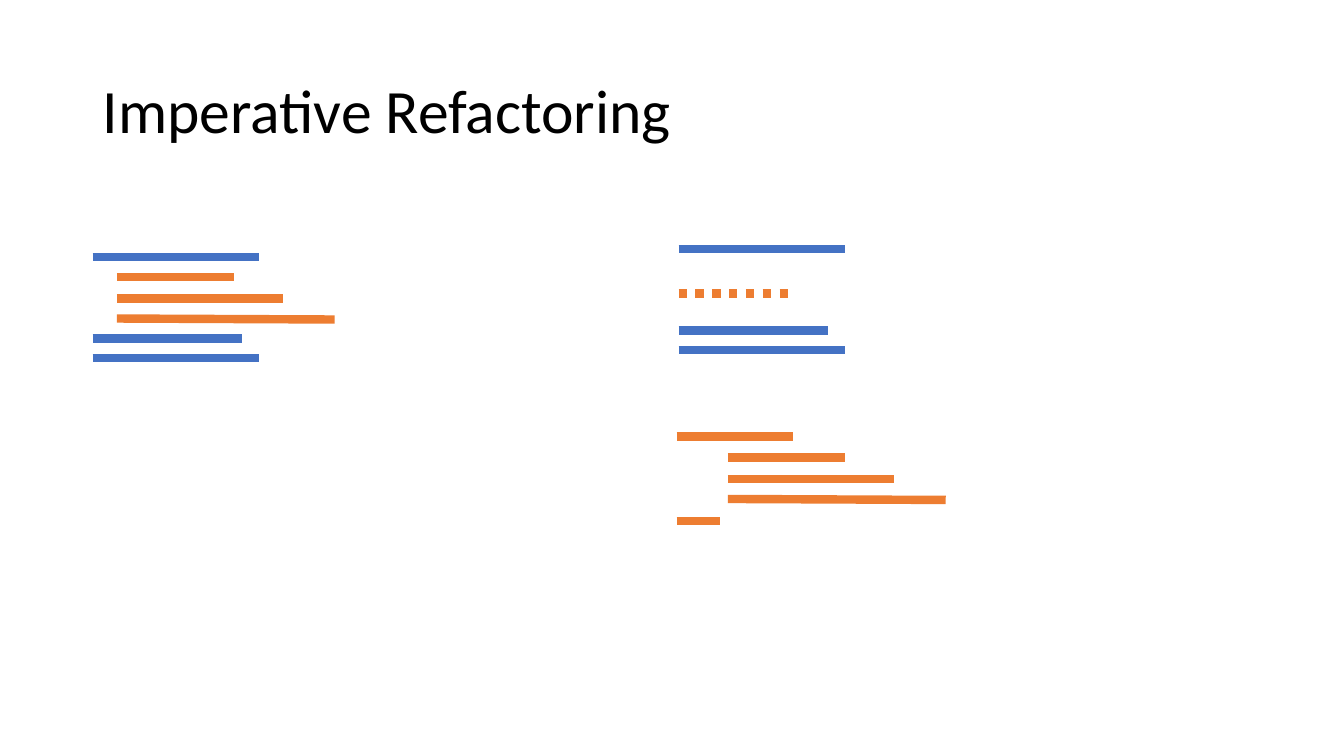
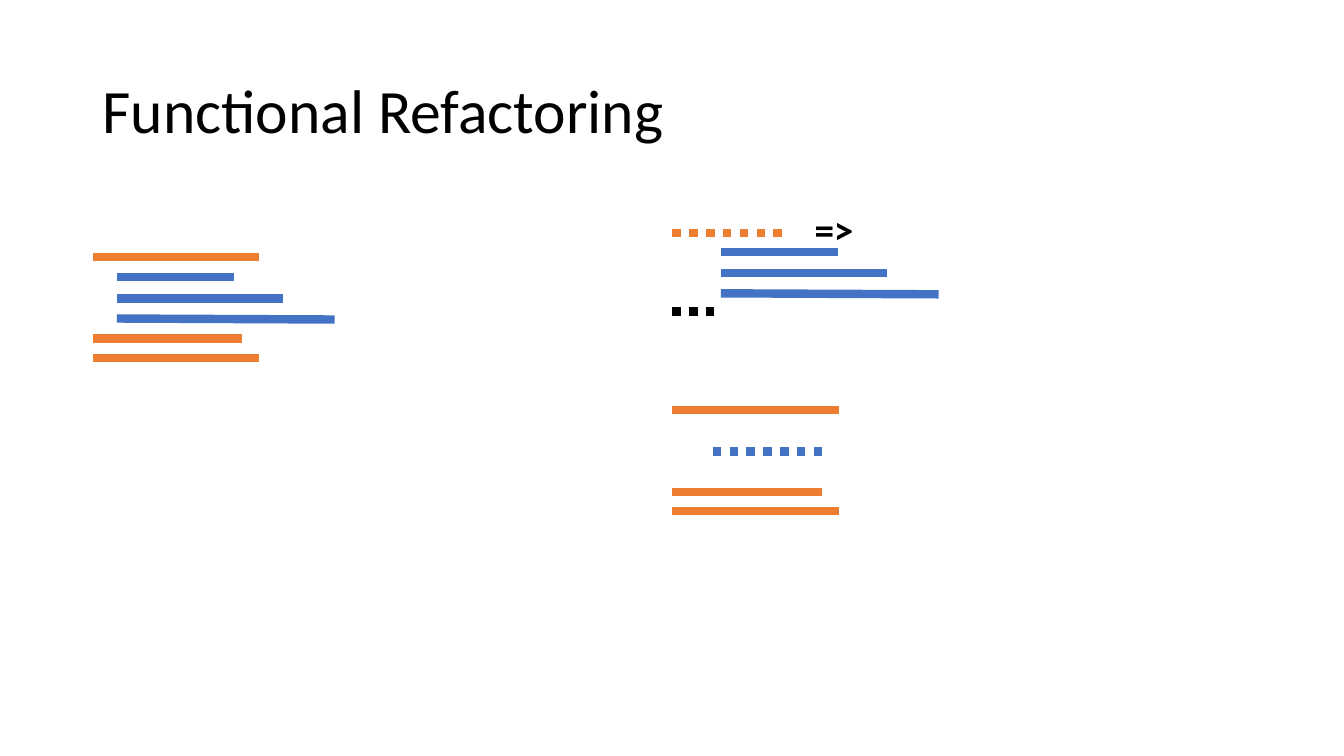
import pptx
import pptx.dml.color
import pptx.enum.dml
import pptx.enum.shapes
import pptx.enum.text
import pptx.oxml.ns
import pptx.util
from lxml import etree

Inches = pptx.util.Inches
BLUE = pptx.dml.color.RGBColor(0x44, 0x72, 0xC4)
ORANGE = pptx.dml.color.RGBColor(0xED, 0x7D, 0x31)
BLACK = pptx.dml.color.RGBColor(0, 0, 0)
FONT = "Calibri"
SHORT, MEDIUM, LONG, LONGEST = 1.16, 1.48, 1.65, 2.16
OUTER_ROWS = [(0, LONG, 0), (0.81, MEDIUM, 0), (1, LONG, 0)]
INNER_ROWS = [(0, SHORT, 0), (0.21, LONG, 0), (0.41, LONGEST, 0.01)]


def add_text(page, text, left, top, width, height, size=28, bold=False,
             anchor=pptx.enum.text.MSO_ANCHOR.TOP, spacing=1.0):
    """Place a text box holding one formatted paragraph."""
    box = page.shapes.add_textbox(Inches(left), Inches(top), Inches(width), Inches(height))
    frame = box.text_frame
    frame.word_wrap = True
    frame.vertical_anchor = anchor
    para = frame.paragraphs[0]
    para.line_spacing = spacing
    span = para.add_run()
    span.text = text
    span.font.name = FONT
    span.font.size = pptx.util.Pt(size)
    span.font.bold = bold
    span.font.color.rgb = BLACK


def add_bar(page, left, top, length, color, drop=0, dotted=False):
    """Draw one thick line that stands for a line of code."""
    bar = page.shapes.add_connector(
        pptx.enum.shapes.MSO_CONNECTOR.STRAIGHT,
        Inches(left), Inches(top), Inches(left + length), Inches(top + drop))
    bar.line.color.rgb = color
    bar.line.width = pptx.util.Pt(6)
    if dotted:
        bar.line.dash_style = pptx.enum.dml.MSO_LINE.ROUND_DOT
    etree.SubElement(bar.element.spPr, pptx.oxml.ns.qn("a:effectLst"))


def add_rows(page, left, top, rows, color):
    """Draw a group of code lines below a common left top corner."""
    for offset, length, drop in rows:
        add_bar(page, left, top + offset, length, color, drop)


def add_original_code(page, left, top, outer, inner):
    """Draw code whose inner block has not been extracted yet."""
    add_rows(page, left, top, OUTER_ROWS, outer)
    add_rows(page, left + 0.24, top + 0.2, INNER_ROWS, inner)


def add_calling_code(page, left, top, outer, inner, indent, gap):
    """Draw outer code with a dotted line in place of its inner block."""
    add_rows(page, left, top, OUTER_ROWS, outer)
    add_bar(page, left + indent, top + gap, SHORT, inner, dotted=True)


def add_extracted_method(page, left, top, color):
    """Draw the inner block between a header and a closing line."""
    add_bar(page, left, top, SHORT, color)
    add_rows(page, left + 0.51, top + 0.21, INNER_ROWS, color)
    add_bar(page, left, top + 0.84, 0.43, color)


def add_lambda(page, left, top, parameter, body):
    """Draw a dotted parameter, an arrow, a body and an ellipsis."""
    add_bar(page, left, top, SHORT, parameter, dotted=True)
    add_text(page, "=>", left + 1.31, top - 0.32, 1.19, 0.57, bold=True)
    add_rows(page, left + 0.48, top + 0.19, INNER_ROWS, body)
    add_bar(page, left, top + 0.78, 0.41, BLACK, dotted=True)


def add_page(deck, title, outer, inner):
    """Add a slide with its title and the original code."""
    page = deck.slides.add_slide(deck.slide_layouts[6])
    add_text(page, title, 0.92, 0.4, 11.5, 1.45, size=44,
             anchor=pptx.enum.text.MSO_ANCHOR.MIDDLE, spacing=0.9)
    add_original_code(page, 0.92, 2.55, outer, inner)
    return page


def add_imperative_page(deck):
    """Build the slide that extracts the inner block as a method."""
    page = add_page(deck, "Imperative Refactoring", BLUE, ORANGE)
    add_calling_code(page, 6.73, 2.47, BLUE, ORANGE, indent=0, gap=0.44)
    add_extracted_method(page, 6.71, 4.33, ORANGE)


def add_functional_page(deck):
    """Build the slide that passes the inner block as a lambda."""
    page = add_page(deck, "Functional Refactoring", ORANGE, BLUE)
    add_lambda(page, 6.67, 2.31, ORANGE, BLUE)
    add_calling_code(page, 6.67, 4.07, ORANGE, BLUE, indent=0.4, gap=0.41)


def main():
    """Build and save the deck."""
    deck = pptx.Presentation()
    deck.slide_width, deck.slide_height = Inches(13.33), Inches(7.5)
    add_imperative_page(deck)
    add_functional_page(deck)
    deck.save("out.pptx")


if __name__ == "__main__":
    main()
